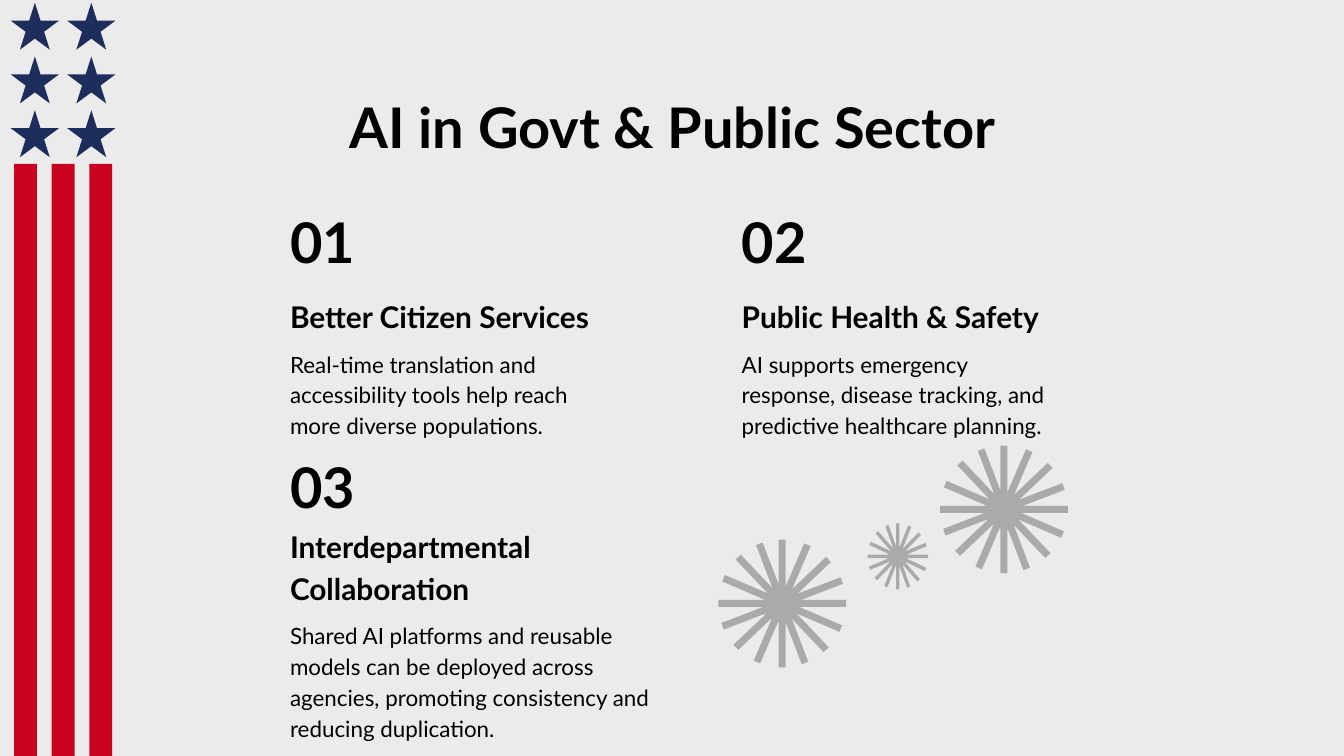
import math
import pptx
import pptx.util
import pptx.dml.color
import pptx.enum.shapes
import pptx.enum.text
from dataclasses import dataclass

Inches, Pt = pptx.util.Inches, pptx.util.Pt
SHAPE = pptx.enum.shapes.MSO_SHAPE
ALIGN = pptx.enum.text.PP_ALIGN
ANCHOR = pptx.enum.text.MSO_ANCHOR


@dataclass(frozen=True)
class Theme:
    font: str = "Lato"
    background: str = "EBEBEB"
    text: str = "000000"
    stripe: str = "C90220"
    star: str = "1E2E5C"
    burst: str = "AAAAAA"
    title_size: int = 30
    heading_size: int = 16
    body_size: int = 12


THEME = Theme()
WIDTH, HEIGHT = 10, 5.625

TITLE = "AI in Govt & Public Sector"
# column, row, number, heading, heading width, body, body width
TOPICS = [
    (0, 0, "01", "Better Citizen Services", 2.52,
     "Real-time translation and accessibility tools help reach "
     "more diverse populations.", 2.52),
    (1, 0, "02", "Public Health & Safety", 2.52,
     "AI supports emergency response, disease tracking, and "
     "predictive healthcare planning.", 2.52),
    (0, 1, "03", "Interdepartmental Collaboration", 2.68,
     "Shared AI platforms and reusable models can be deployed across "
     "agencies, promoting consistency and reducing duplication.", 2.88),
]
COLUMNS = [2.06, 5.42]
ROWS = [(1.55, 2.16), (3.37, 4.18)]  # tops of number and heading
BODY_DROP = 0.32                     # heading top to body top

# centre x, centre y, horizontal radius, vertical radius
BURSTS = [(5.82, 4.49, 0.475, 0.475), (6.68, 4.14, 0.225, 0.245),
          (7.47, 3.79, 0.475, 0.475)]
QUADRANT_RAYS = [0, 23.3, 46.5, 69]  # degrees, repeated in each quarter
RAY_HALF_WIDTH = 0.055               # share of the radius


def rgb(value):
    return pptx.dml.color.RGBColor.from_string(value)


def paint(sp, color):
    sp.shadow.inherit = False
    sp.fill.solid()
    sp.fill.fore_color.rgb = rgb(color)
    sp.line.fill.background()


def add_preset(s, kind, box, color):
    paint(s.shapes.add_shape(kind, *map(Inches, box)), color)


def add_text(s, text, box, size, bold=False, anchor=ANCHOR.TOP,
             align=ALIGN.LEFT, spacing=1.0):
    tf = s.shapes.add_textbox(*map(Inches, box)).text_frame
    tf.word_wrap = True
    tf.vertical_anchor = anchor
    tf.margin_left = tf.margin_right = Inches(0.1)
    tf.margin_top = tf.margin_bottom = Inches(0.1)
    p = tf.paragraphs[0]
    p.text, p.alignment, p.line_spacing = text, align, spacing
    p.font.name, p.font.size, p.font.bold = THEME.font, Pt(size), bold
    p.font.color.rgb = rgb(THEME.text)


def burst_outline():
    """Unit-radius outline: two tip corners per ray, then the notch after it."""
    angles = [math.radians(90 * q + a) for q in range(4) for a in QUADRANT_RAYS]
    points = []
    for angle, following in zip(angles, angles[1:] + [math.tau]):
        c, n = math.cos(angle), math.sin(angle)
        for side in (-RAY_HALF_WIDTH, RAY_HALF_WIDTH):
            points.append((c - side * n, n + side * c))
        half_gap = (following - angle) / 2
        notch = RAY_HALF_WIDTH / math.sin(half_gap)
        middle = angle + half_gap
        points.append((notch * math.cos(middle), notch * math.sin(middle)))
    return points


def add_burst(s, cx, cy, rx, ry):
    points = [(Inches(cx + rx * x), Inches(cy + ry * y))
              for x, y in burst_outline()]
    builder = s.shapes.build_freeform(*points[0])
    builder.add_line_segments(points[1:], close=True)
    paint(builder.convert_to_shape(), THEME.burst)


def add_flag(s):
    for i in range(3):
        add_preset(s, SHAPE.RECTANGLE,
                   (0.105 + 0.28 * i, 1.22, 0.17, HEIGHT - 1.22), THEME.stripe)
        for column in range(2):
            add_preset(s, SHAPE.STAR_5_POINT,
                       (0.08 + 0.42 * column, 0.02 + 0.4 * i, 0.36, 0.35),
                       THEME.star)


def add_topic(s, column, row, number, heading, heading_w, body, body_w):
    x = COLUMNS[column]
    number_y, heading_y = ROWS[row]
    add_text(s, number, (x, number_y, 0.8, 0.49), THEME.title_size,
             bold=True, anchor=ANCHOR.MIDDLE)
    add_text(s, heading, (x, heading_y, heading_w, 0.43), THEME.heading_size,
             bold=True, anchor=ANCHOR.BOTTOM, spacing=1.15)
    add_text(s, body, (x, heading_y + BODY_DROP, body_w, 0.63),
             THEME.body_size, spacing=1.15)


def main():
    prs = pptx.Presentation()
    prs.slide_width, prs.slide_height = Inches(WIDTH), Inches(HEIGHT)
    s = prs.slides.add_slide(prs.slide_layouts[6])
    s.background.fill.solid()
    s.background.fill.fore_color.rgb = rgb(THEME.background)

    add_flag(s)
    add_text(s, TITLE, (0.79, 0.59, 8.43, 0.63), THEME.title_size,
             bold=True, align=ALIGN.CENTER)
    for topic in TOPICS:
        add_topic(s, *topic)
    for burst in BURSTS:
        add_burst(s, *burst)
    prs.save("out.pptx")


if __name__ == "__main__":
    main()
